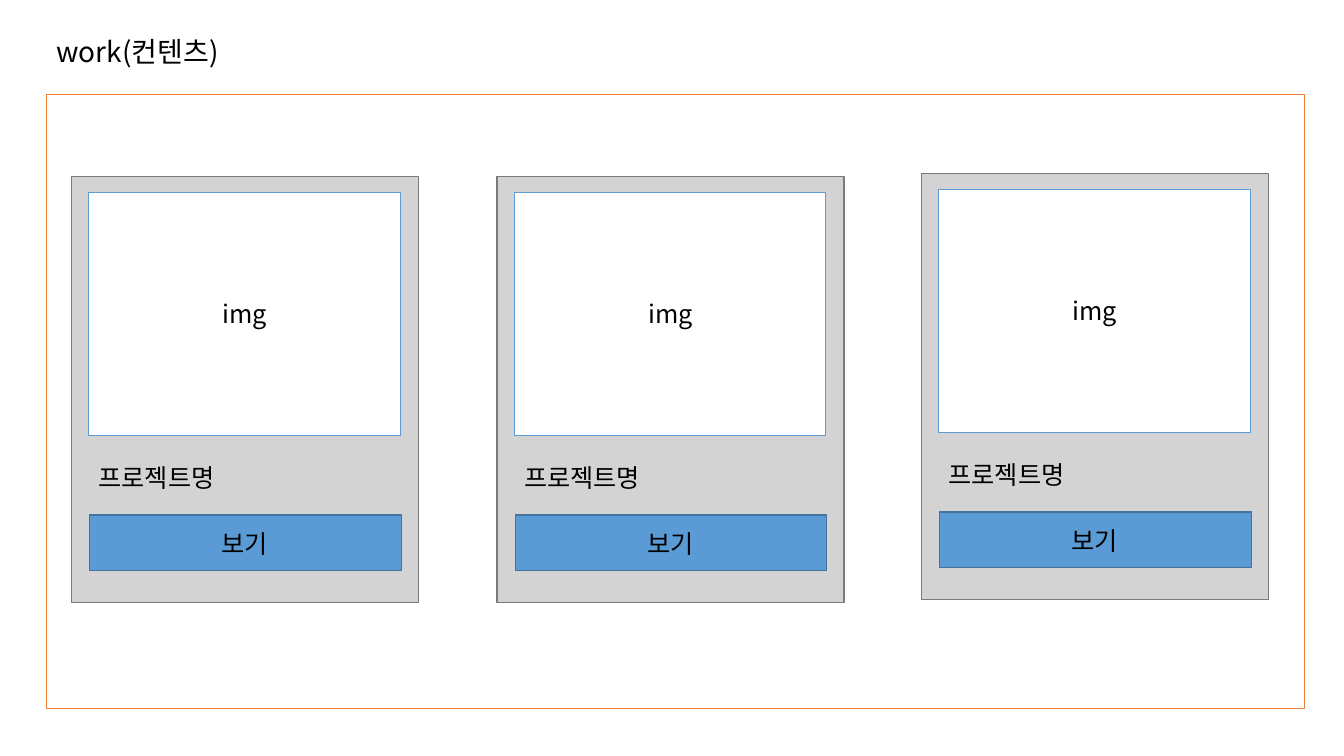
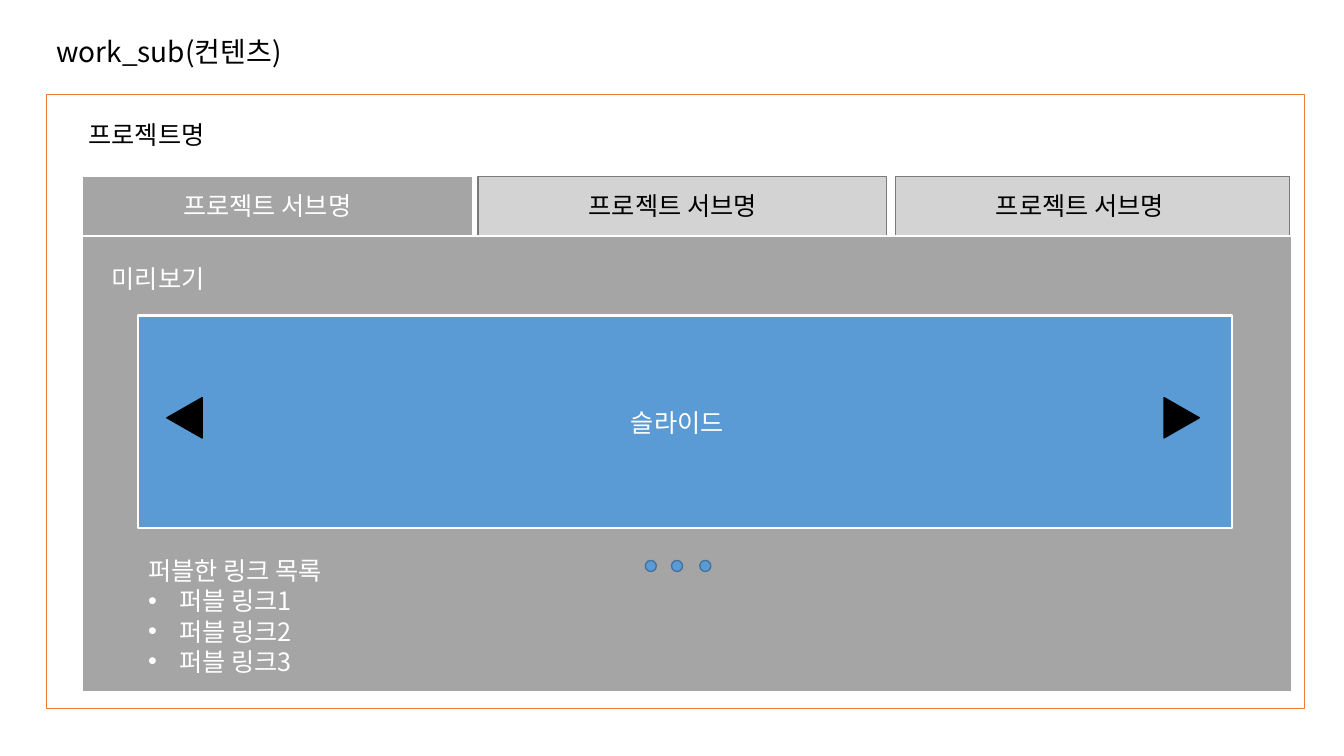
from lxml import etree
from pptx import Presentation
from pptx.dml.color import RGBColor
from pptx.enum import shapes, text
from pptx.oxml import ns
from pptx.util import Inches, Pt

FONT = "Noto Sans CJK KR"
BLACK = RGBColor(0x00, 0x00, 0x00)
WHITE = RGBColor(0xFF, 0xFF, 0xFF)
GRAY = RGBColor(0xA5, 0xA5, 0xA5)
EDGE = RGBColor(0x7A, 0x7A, 0x7A)
BLUE = RGBColor(0x5B, 0x9B, 0xD5)
NAVY = RGBColor(0x43, 0x73, 0x9E)
ORANGE = RGBColor(0xED, 0x7D, 0x31)
RECT = shapes.MSO_SHAPE.RECTANGLE
OVAL = shapes.MSO_SHAPE.OVAL
ARROW = shapes.MSO_SHAPE.ISOSCELES_TRIANGLE
TITLE_BODY, TITLE_ONLY = 1, 5


class Deck:
    """Wireframe style and the slide being drawn."""

    def __init__(self):
        self.prs = Presentation()
        self.prs.slide_width = Inches(13.33)
        self.prs.slide_height = Inches(7.5)
        self.slide = None

    def page(self, title, layout):
        self.slide = self.prs.slides.add_slide(self.prs.slide_layouts[layout])
        head = self.slide.shapes.title
        self.place(head, 0.46, 0.13, 11.5, 0.81)
        head.text_frame.text = title
        head.text_frame.vertical_anchor = text.MSO_ANCHOR.MIDDLE
        head.text_frame.paragraphs[0].line_spacing = 0.9
        self.style(head.text_frame, BLACK, 20)
        self.box(0.46, 0.94, 12.48, 6.09, WHITE, ORANGE)

    def place(self, item, x, y, w, h):
        item.left, item.top = Inches(x), Inches(y)
        item.width, item.height = Inches(w), Inches(h)

    def style(self, frame, color, size=18):
        frame.auto_size = text.MSO_AUTO_SIZE.NONE
        for para in frame.paragraphs:
            para.alignment = text.PP_ALIGN.LEFT
            for run in para.runs:
                run.font.name = FONT
                run.font.size = Pt(size)
                run.font.color.rgb = color
                east = etree.SubElement(run.font._element, ns.qn("a:ea"))
                east.set("typeface", FONT)

    def box(self, x, y, w, h, fill, line, kind=RECT, width=1, alpha=None, turn=0):
        item = self.slide.shapes.add_shape(
            kind, Inches(x), Inches(y), Inches(w), Inches(h))
        item.shadow.inherit = False
        item.rotation = turn
        item.fill.solid()
        item.fill.fore_color.rgb = fill
        item.line.color.rgb = line
        item.line.width = Pt(width)
        if alpha:
            tint = item.fill._xPr.find(".//" + ns.qn("a:srgbClr"))
            etree.SubElement(tint, ns.qn("a:alpha")).set("val", str(alpha * 1000))

    def panel(self, x, y, w, h, fill=GRAY):
        self.box(x, y, w, h, fill, WHITE, width=1.5)

    def pale(self, x, y, w, h):
        self.box(x, y, w, h, GRAY, EDGE, alpha=48)

    def label(self, words, x, y, w, color=BLACK):
        item = self.slide.shapes.add_textbox(
            Inches(x), Inches(y), Inches(w), Inches(0.4))
        item.text_frame.text = words
        item.text_frame.word_wrap = False
        self.style(item.text_frame, color)

    def links(self, head, items, x, y, w, h):
        body = self.slide.placeholders[1]
        self.place(body, x, y, w, h)
        self.slide.shapes._spTree.append(body._element)
        frame = body.text_frame
        frame.text = "\n".join([head, *items])
        self.style(frame, WHITE)
        for i, para in enumerate(frame.paragraphs):
            para.space_before = Pt(0)
            props = para._p.get_or_add_pPr()
            dent = Inches(0.31) if i else 0
            props.set("marL", str(dent))
            props.set("indent", str(-dent))
            if not i:
                etree.SubElement(props, ns.qn("a:buNone"))

    def card(self, x, y):
        self.pale(x, y, 3.44, 4.23)
        self.box(x + 0.17, y + 0.16, 3.09, 2.41, WHITE, BLUE)
        self.label("img", x + 1.4, y + 1.16, 0.64)
        self.label("프로젝트명", x + 0.17, y + 2.79, 1.46)
        self.box(x + 0.18, y + 3.36, 3.09, 0.55, BLUE, NAVY)
        self.label("보기", x + 1.39, y + 3.44, 0.71)


def work(deck):
    deck.page("work(컨텐츠)", TITLE_ONLY)
    for x, y in ((0.71, 1.75), (4.93, 1.75), (9.14, 1.72)):
        deck.card(x, y)


def detail(deck):
    deck.page("work_sub(컨텐츠)", TITLE_BODY)
    deck.label("프로젝트명", 0.78, 1.13, 1.46)
    tabs = ((0.81, 3.88, 1.72, deck.panel, WHITE),
            (4.74, 4.05, 5.74, deck.pale, BLACK),
            (8.88, 3.91, 9.78, deck.pale, BLACK))
    for x, w, left, draw, color in tabs:
        draw(x, 1.75, w, 0.59)
        deck.label("프로젝트 서브명", left, 1.84, 2.06, color)
    deck.panel(0.81, 2.34, 12.01, 4.53)
    deck.label("미리보기", 1.01, 2.56, 1.21, WHITE)
    deck.panel(1.37, 3.13, 10.85, 2.11, BLUE)
    deck.label("슬라이드", 6.16, 3.99, 1.21, WHITE)
    deck.links("퍼블한 링크 목록", [f"퍼블 링크{n}" for n in (1, 2, 3)],
               1.37, 5.46, 10.85, 1.62)
    for x, turn in ((1.63, 270), (11.52, 90)):
        deck.box(x, 3.97, 0.4, 0.35, BLACK, BLACK, ARROW, turn=turn)
    for x in (6.4, 6.66, 6.94):
        deck.box(x, 5.56, 0.11, 0.11, BLUE, NAVY, OVAL)


def main():
    deck = Deck()
    work(deck)
    detail(deck)
    deck.prs.save("out.pptx")


if __name__ == "__main__":
    main()
